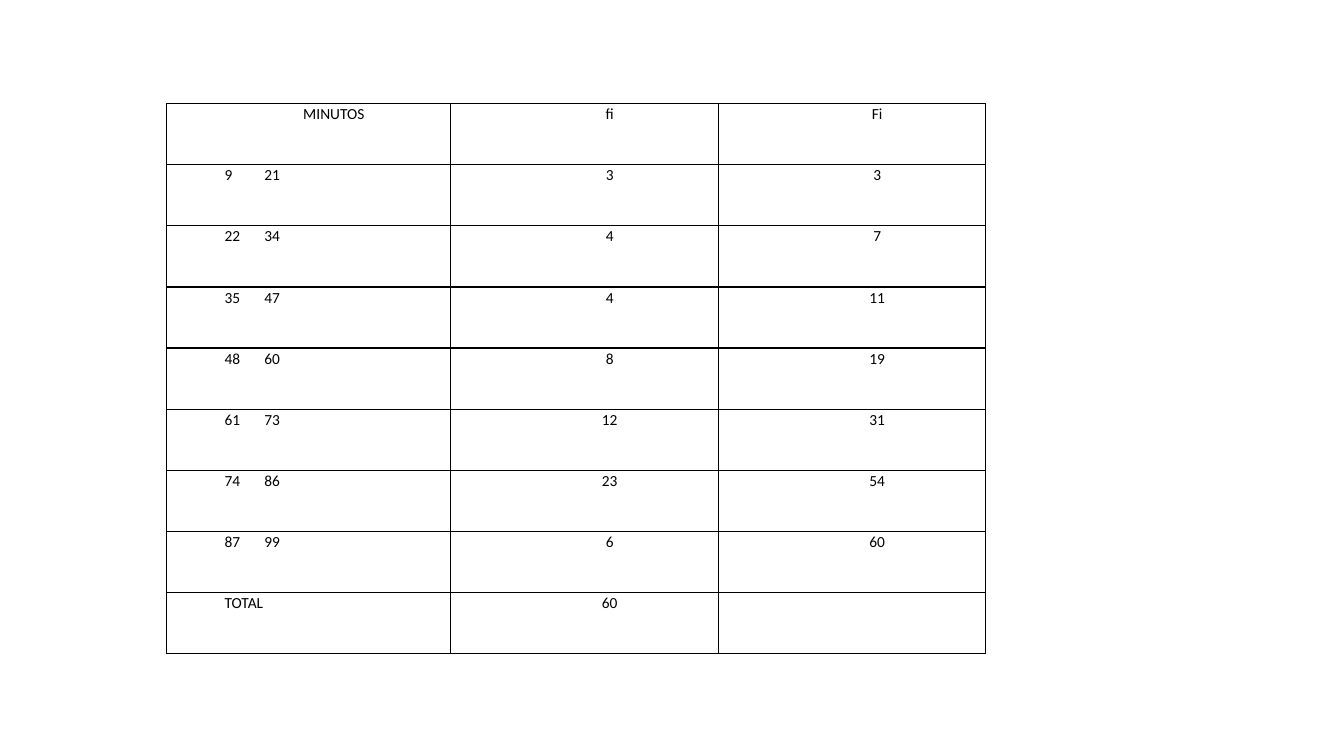
from dataclasses import dataclass
from lxml.etree import SubElement
from pptx import Presentation
from pptx.dml.color import RGBColor
from pptx.enum.text import PP_ALIGN
from pptx.oxml.ns import qn
from pptx.util import Cm, Pt


@dataclass(frozen=True)
class Theme:
    font: str = "Calibri"
    size: int = 11
    ink: str = "000000"
    border: int = 1
    line_spacing: float = 1.07


theme = Theme()

# Frequency table: class limits, frequency, cumulative frequency
intervals = [(9, 21), (22, 34), (35, 47), (48, 60), (61, 73), (74, 86), (87, 99)]
frequencies = [3, 4, 4, 8, 12, 23, 6]

rows = [("MINUTOS", "fi", "Fi")]
cumulative = 0
for (low, high), frequency in zip(intervals, frequencies):
    cumulative += frequency
    rows.append((f"{low}\t{high}", str(frequency), str(cumulative)))
rows.append(("TOTAL", str(cumulative), ""))

column_widths = [Cm(7.16), Cm(6.74), Cm(6.74)]
row_height = Cm(1.54)
upper_limit_tab = Cm(1)


def add_borders(cell):
    properties = cell._tc.get_or_add_tcPr()
    for position, side in enumerate(("lnL", "lnR", "lnT", "lnB")):
        line = SubElement(properties, qn(f"a:{side}"), w=str(Pt(theme.border)))
        fill = SubElement(line, qn("a:solidFill"))
        SubElement(fill, qn("a:srgbClr"), val=theme.ink)
        properties.insert(position, line)


# Slide
presentation = Presentation()
presentation.slide_width, presentation.slide_height = Cm(33.87), Cm(19.05)
slide = presentation.slides.add_slide(presentation.slide_layouts[6])

# Table grid
frequency_table = slide.shapes.add_table(
    len(rows), len(column_widths), Cm(4.2), Cm(2.61),
    sum(column_widths), row_height * len(rows)).table
frequency_table.first_row = False
frequency_table.horz_banding = False
for column, width in zip(frequency_table.columns, column_widths):
    column.width = width
for row in frequency_table.rows:
    row.height = row_height

# Cells: only the class limits and the total label are left-aligned
for row_index, values in enumerate(rows):
    for column_index, value in enumerate(values):
        cell = frequency_table.cell(row_index, column_index)
        cell.margin_left, cell.margin_right = Cm(1.46), Cm(0.19)
        cell.margin_top = cell.margin_bottom = 0
        cell.fill.background()
        add_borders(cell)
        if not value:
            continue

        paragraph = cell.text_frame.paragraphs[0]
        is_label = column_index == 0 and row_index > 0
        paragraph.alignment = PP_ALIGN.LEFT if is_label else PP_ALIGN.CENTER
        paragraph.line_spacing = theme.line_spacing
        if "\t" in value:
            tabs = SubElement(paragraph._p.get_or_add_pPr(), qn("a:tabLst"))
            SubElement(tabs, qn("a:tab"), pos=str(upper_limit_tab), algn="l")

        run = paragraph.add_run()
        run.text = value
        run.font.name = theme.font
        run.font.size = Pt(theme.size)
        run.font.color.rgb = RGBColor.from_string(theme.ink)

presentation.save("out.pptx")
